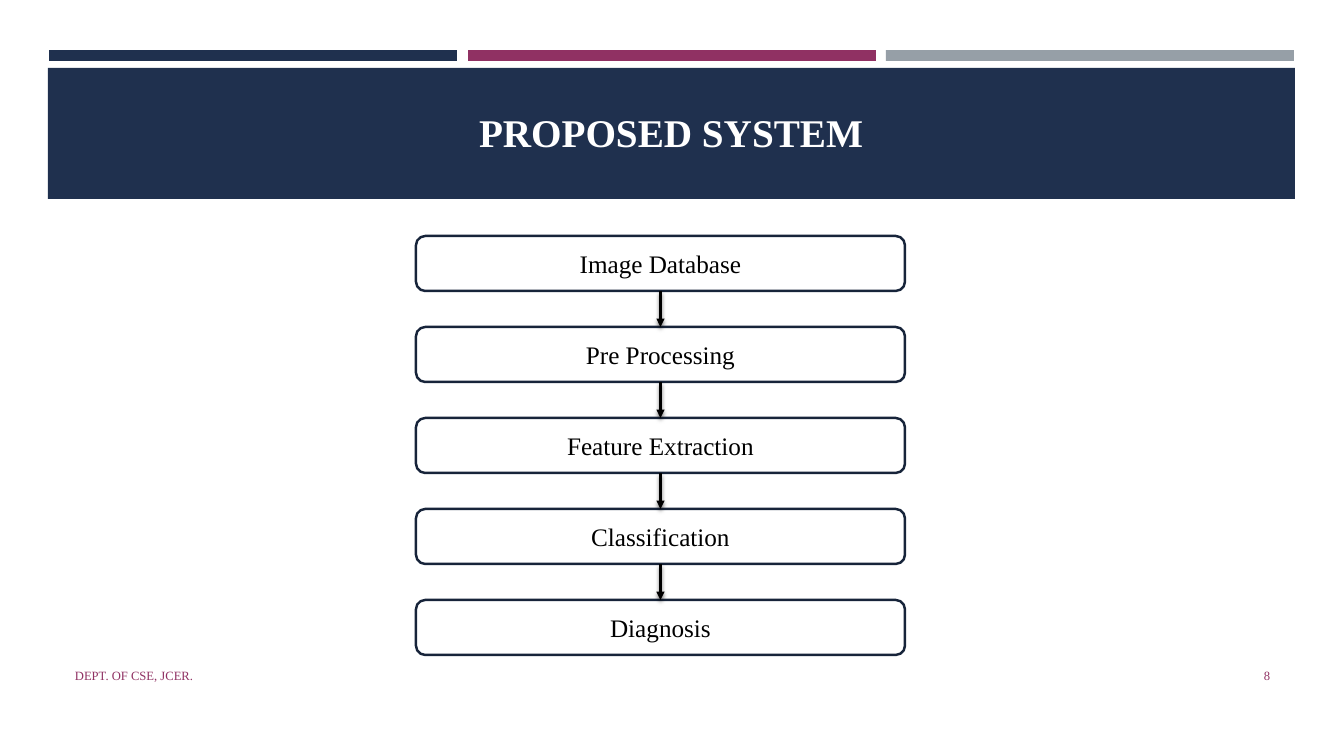
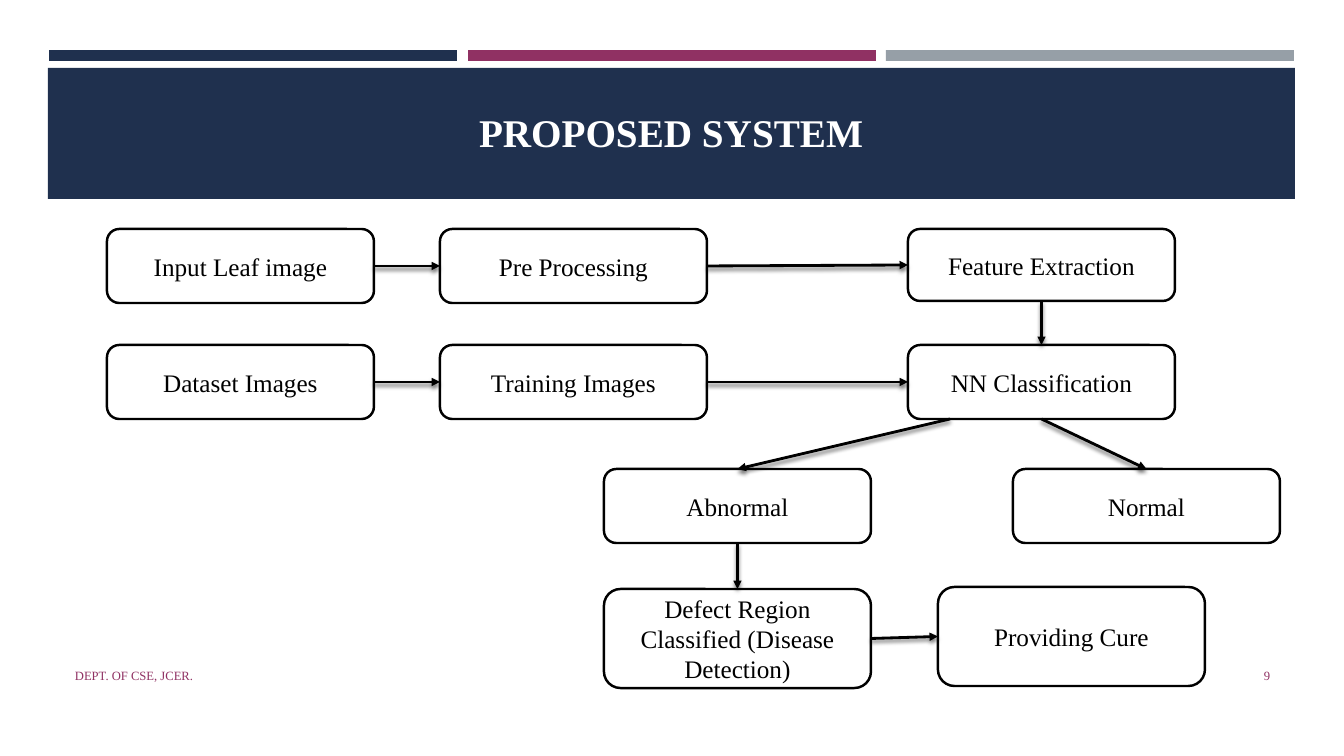
from lxml import etree
from pptx import Presentation
from pptx import util as u
from pptx.dml.color import RGBColor
from pptx.enum import shapes, text
from pptx.oxml import parse_xml
from pptx.oxml.ns import nsdecls, qn

COLORS = {"navy": "1F304E", "plum": "903163", "gray": "969FA7",
          "outline": "17243A", "black": "000000", "white": "FFFFFF"}
FONT = "Times New Roman"
TITLE = "PROPOSED SYSTEM"
FOOTER = "DEPT. OF CSE, JCER."
TITLE_BOX = (49, 69, 1244, 126)
FOOTER_BOX = (65, 656, 762, 40)
NUMBER_BOX = (1164, 656, 116, 40)
BANDS = [("navy", (49, 50, 408, 11)), ("plum", (468, 50, 408, 11)),
         ("gray", (886, 50, 408, 11)), ("navy", (48, 68, 1247, 131))]

TOP, LEFT, BOTTOM, RIGHT = range(4)

STEPS = ["Image Database", "Pre Processing", "Feature Extraction",
         "Classification", "Diagnosis"]
STEP_LEFT, STEP_TOP, STEP_PITCH, STEP_WIDTH, STEP_HEIGHT = 416, 236, 91, 489, 55
step_boxes = {step: (STEP_LEFT, STEP_TOP + i * STEP_PITCH, STEP_WIDTH, STEP_HEIGHT)
              for i, step in enumerate(STEPS)}
step_arrows = [(a, BOTTOM, b, TOP) for a, b in zip(STEPS, STEPS[1:])]

STAGE_WIDTH = 267
DEFECT = "Defect Region Classified (Disease Detection)"
STAGES = [
    ("Input Leaf image", 107, 229, 74),
    ("Pre Processing", 440, 229, 74),
    ("Feature Extraction", 908, 229, 72),
    ("Dataset Images", 107, 345, 74),
    ("Training Images", 440, 345, 74),
    ("NN Classification", 908, 345, 74),
    ("Abnormal", 604, 469, 74),
    ("Normal", 1013, 469, 74),
    (DEFECT, 604, 589, 99),
    ("Providing Cure", 938, 587, 99),
]
stage_boxes = {name: (x, y, STAGE_WIDTH, h) for name, x, y, h in STAGES}
stage_arrows = [
    ("Input Leaf image", RIGHT, "Pre Processing", LEFT),
    ("Dataset Images", RIGHT, "Training Images", LEFT),
    ("Pre Processing", RIGHT, "Feature Extraction", LEFT),
    ("Training Images", RIGHT, "NN Classification", LEFT),
    ("Feature Extraction", BOTTOM, "NN Classification", TOP),
    ("NN Classification", BOTTOM, "Normal", TOP),
    ((950, 419), None, "Abnormal", TOP),
    ("Abnormal", BOTTOM, DEFECT, TOP),
    (DEFECT, RIGHT, "Providing Cure", LEFT),
]
SLIDES = [(8, "outline", step_boxes, step_arrows),
          (9, "black", stage_boxes, stage_arrows)]

SHADOW = (f'<a:effectLst {nsdecls("a")}><a:outerShdw blurRad="38100" dist="25400" '
          f'dir="5400000" rotWithShape="0"><a:srgbClr val="{COLORS["black"]}">'
          '<a:alpha val="55000"/></a:srgbClr></a:outerShdw></a:effectLst>')


def px(*lengths):
    return [u.Emu(round(n * 914400 / 100.8)) for n in lengths]


def rgb(name):
    return RGBColor.from_string(COLORS[name])


def write(shape, words, size, color, align, bold=False):
    frame = shape.text_frame
    frame.word_wrap = True
    frame.vertical_anchor = text.MSO_ANCHOR.MIDDLE
    paragraph = frame.paragraphs[0]
    paragraph.alignment = align
    run = paragraph.add_run()
    run.text = words
    run.font.name, run.font.size, run.font.bold = FONT, u.Pt(size), bold
    run.font.color.rgb = rgb(color)


def add_block(slide, kind, box, fill, outline=None):
    block = slide.shapes.add_shape(kind, *px(*box))
    block.shadow.inherit = False
    block.fill.solid()
    block.fill.fore_color.rgb = rgb(fill)
    if outline:
        block.line.color.rgb = rgb(outline)
        block.line.width = u.Pt(1.75)
    else:
        block.line.fill.background()
    return block


def add_arrow(slide, nodes, start, start_site, end, end_site):
    origin = px(*start) if start_site is None else px(0, 0)
    arrow = slide.shapes.add_connector(shapes.MSO_CONNECTOR.STRAIGHT, *origin, *origin)
    if start_site is not None:
        arrow.begin_connect(nodes[start], start_site)
    arrow.end_connect(nodes[end], end_site)
    arrow.line.color.rgb = rgb("black")
    arrow.line.width = u.Pt(2)
    etree.SubElement(arrow.line._get_or_add_ln(), qn("a:tailEnd"), type="triangle")
    arrow.element.spPr.append(parse_xml(SHADOW))


def add_frame(slide, number):
    title = slide.shapes.title
    title.left, title.top, title.width, title.height = px(*TITLE_BOX)
    write(title, TITLE, 28, "white", text.PP_ALIGN.CENTER, bold=True)
    for box, words, align in ((FOOTER_BOX, FOOTER, text.PP_ALIGN.LEFT),
                              (NUMBER_BOX, str(number), text.PP_ALIGN.RIGHT)):
        write(slide.shapes.add_textbox(*px(*box)), words, 9, "plum", align)


def add_diagram(slide, outline, boxes, arrows):
    nodes = {}
    for name, box in boxes.items():
        nodes[name] = add_block(slide, shapes.MSO_SHAPE.ROUNDED_RECTANGLE, box,
                                "white", outline)
        write(nodes[name], name, 18, "black", text.PP_ALIGN.CENTER)
    for arrow in arrows:
        add_arrow(slide, nodes, *arrow)


deck = Presentation()
deck.slide_width, deck.slide_height = px(1344, 756)
layout = deck.slide_layouts[5]
for index, (number, outline, boxes, arrows) in enumerate(SLIDES):
    slide = deck.slides.add_slide(layout)
    if index == 0:
        for color, box in BANDS:
            band = add_block(slide, shapes.MSO_SHAPE.RECTANGLE, box, color)
            layout.shapes.element.append(band.element)
    add_frame(slide, number)
    add_diagram(slide, outline, boxes, arrows)
deck.save("out.pptx")
